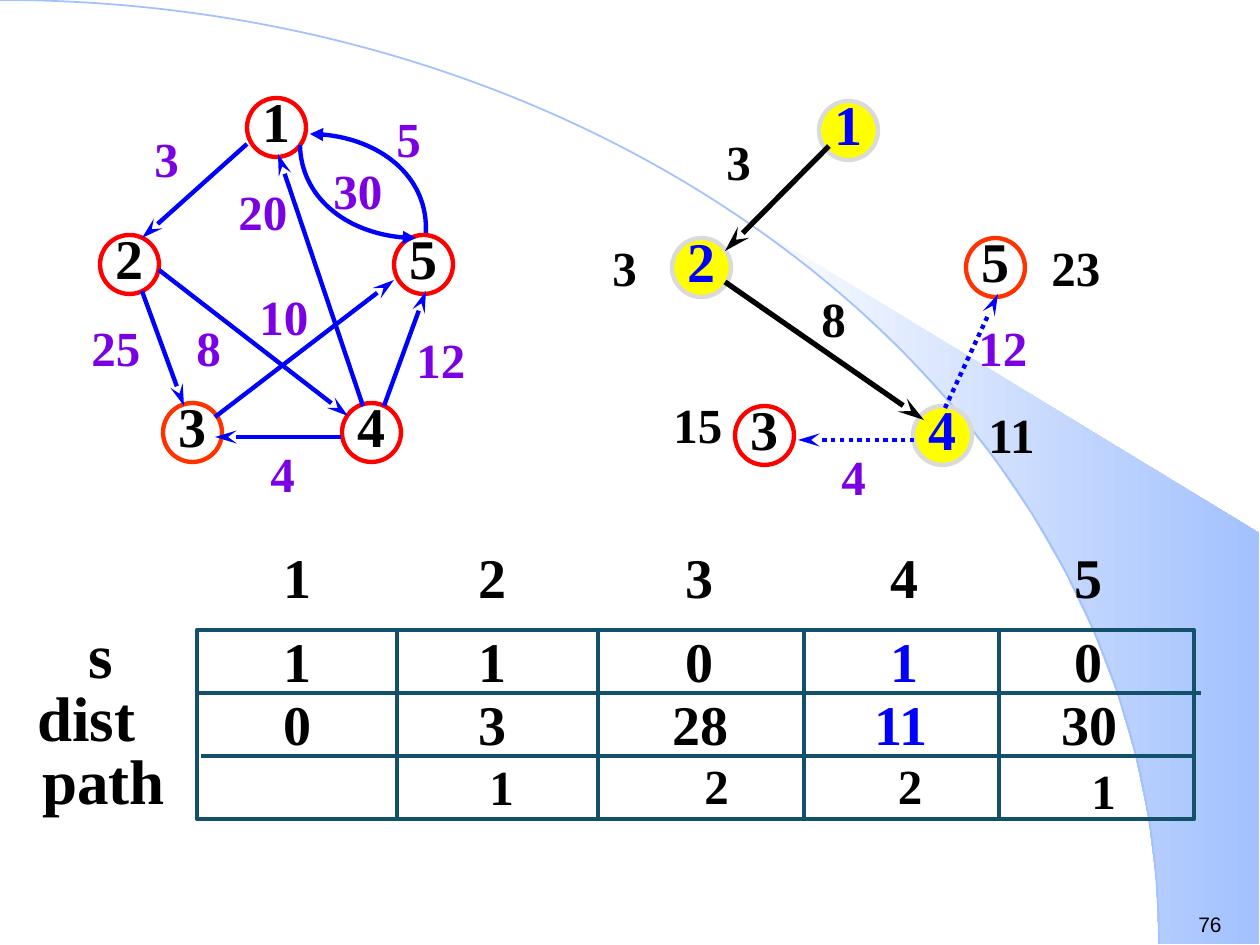
import math

from pptx import Presentation, util as u
from pptx.dml.color import RGBColor
from pptx.enum import dml, shapes, text
from pptx.oxml import parse_xml
from pptx.oxml.ns import nsdecls, qn

EMU_PER_PX = 914400 / 126
SERIF = "Times New Roman"
CENTER = text.PP_ALIGN.CENTER
BLACK, BLUE, PURPLE, TEAL = "000000", "0000FF", "7B00E4", "135069"
RED, ORANGE, YELLOW, GREY, SKY = "FF0000", "FF3300", "FFFF00", "DADADA", "A2C1FE"


def px(value):
    return u.Emu(round(value * EMU_PER_PX))


def rgb(code):
    return RGBColor.from_string(code)


def label(page, words, left, top, width, height, size=28, color=BLACK, font=SERIF,
          bold=True, align=text.PP_ALIGN.LEFT, right_inset=13):
    box = page.shapes.add_textbox(px(left), px(top), px(width), px(height))
    frame = box.text_frame
    frame.word_wrap = True
    frame.margin_right = px(right_inset)
    para = frame.paragraphs[0]
    para.alignment = align
    span = para.add_run()
    span.text = words
    span.font.name, span.font.size, span.font.bold = font, u.Pt(size), bold
    span.font.color.rgb = rgb(color)


def weights(page, entries, color):
    for words, left, top in entries:
        label(page, words, left, top, 63 if len(words) == 1 else 95, 72, color=color)


def stroke(line, color, width):
    line.color.rgb = rgb(color)
    line.width = u.Pt(width)


def outlined(page, kind, left, top, width, height, color, fill=None):
    shape = page.shapes.add_shape(kind, px(left), px(top), px(width), px(height))
    shape.shadow.inherit = False
    if fill:
        shape.fill.solid()
        shape.fill.fore_color.rgb = rgb(fill)
    else:
        shape.fill.background()
    stroke(shape.line, color, 2.5)


def node(page, words, left, top, ring, fill=None, color=BLACK):
    outlined(page, shapes.MSO_SHAPE.OVAL, left, top, 59, 59, ring, fill)
    label(page, words, left + 3, top - 18, 43, 79, size=32, color=color, right_inset=0)


def arrowhead(line, end, kind, length="med"):
    line._get_or_add_ln().append(
        parse_xml(f'<a:{end} {nsdecls("a")} type="{kind}" w="med" len="{length}"/>'))


def straight(page, start, end, color, width):
    link = page.shapes.add_connector(
        shapes.MSO_CONNECTOR.STRAIGHT, *map(px, start), *map(px, end))
    stroke(link.line, color, width)
    link._element.spPr.append(parse_xml(f'<a:effectLst {nsdecls("a")}/>'))
    return link


def edge(page, start, end, color=BLUE, width=2.5, dotted=False):
    line = straight(page, start, end, color, width).line
    if dotted:
        line.dash_style = dml.MSO_LINE.ROUND_DOT
    arrowhead(line, "tailEnd", "stealth", "lg")


def outline(page, points, close=False):
    corners = [(px(x), px(y)) for x, y in points]
    builder = page.shapes.build_freeform(*corners[0], scale=1.0)
    builder.add_line_segments(corners[1:], close=close)
    shape = builder.convert_to_shape()
    shape.shadow.inherit = False
    return shape


def curve(page, points, color, width, head=False):
    """Draw a start point followed by triples of Bézier control points."""
    shape = outline(page, points)
    segments = list(shape._element.iter(qn("a:lnTo")))
    for first in range(0, len(segments), 3):
        bezier = parse_xml(f'<a:cubicBezTo {nsdecls("a")}/>')
        segments[first].addprevious(bezier)
        for segment in segments[first:first + 3]:
            bezier.append(segment[0])
            segment.getparent().remove(segment)
    shape.fill.background()
    stroke(shape.line, color, width)
    if head:
        arrowhead(shape.line, "headEnd", "triangle")


def backdrop(page):
    # Wedge whose inner side follows the big quarter ellipse
    angles = [math.radians(50.3 * step / 13) for step in range(14)]
    inner = [(1159 * math.cos(a), 944 - 944 * math.sin(a)) for a in angles]
    wedge = outline(page, inner + [(1259, 533), (1259, 944)], close=True)
    wedge.line.fill.background()
    wedge.fill.gradient()
    wedge.fill.gradient_angle = 0
    for stop, color in zip(wedge.fill.gradient_stops, ("FFFFFF", SKY)):
        stop.color.rgb = rgb(color)
    curve(page, [(0, 0), (640, 0), (1159, 422), (1159, 944)], SKY, 1)


def state_grid(page):
    # Frame and rules
    outlined(page, shapes.MSO_SHAPE.RECTANGLE, 197, 630, 997, 189, TEAL)
    for x in (397, 598, 804, 999):
        straight(page, (x, 630), (x, 819), TEAL, 2.25)
    straight(page, (197, 693), (1201, 693), TEAL, 2.25)
    straight(page, (201, 756), (1194, 756), TEAL, 2.25)

    # Headings and the rows s and dist
    lefts = (271, 466, 673, 878, 1062)
    wide_lefts = (271, 466, 660, 862, 1049)
    for row, top in ((("1", "2", "3", "4", "5"), 536),
                     (("1", "1", "0", "1", "0"), 620),
                     (("0", "3", "28", "11", "30"), 683)):
        for c, words in enumerate(row):
            wide = len(words) > 1
            label(page, words, wide_lefts[c] if wide else lefts[c], top,
                  103 if wide else 57, 79, size=32,
                  color=BLUE if c == 3 and top > 536 else BLACK)

    # Row path
    for words, left, top, width in (("1", 422, 750, 160), ("2", 591, 749, 252),
                                    ("2", 819, 749, 183), ("1", 1054, 754, 100)):
        label(page, words, left, top, width, 72, align=CENTER)
    for words, left, top, width in (("s", 76, 609, 81), ("dist", 25, 672, 171),
                                    ("path", 30, 735, 171)):
        label(page, words, left, top, width, 88, size=36)


def full_graph(page):
    for words, left, top, ring in (("1", 247, 98, RED), ("2", 100, 235, RED),
                                   ("3", 163, 403, ORANGE), ("4", 342, 403, RED),
                                   ("5", 394, 235, RED)):
        node(page, words, left, top, ring)
    weights(page, [("3", 142, 122), ("25", 79, 311), ("8", 184, 311), ("10", 247, 280),
                   ("20", 226, 175), ("4", 258, 437), ("5", 384, 102), ("30", 321, 154),
                   ("12", 404, 323)], PURPLE)
    for start, end in (((142, 291), (184, 406)), ((341, 437), (215, 437)),
                       ((384, 406), (426, 291)), ((363, 406), (278, 154)),
                       ((159, 270), (348, 416)), ((215, 417), (394, 280)),
                       ((247, 144), (142, 238))):
        edge(page, start, end)
    # The two curved edges between nodes 1 and 5
    curve(page, [(310, 134), (374, 134), (426, 176), (426, 228),
                 (426, 229), (426, 232), (426, 233)], BLUE, 2.5, head=True)
    curve(page, [(416, 238), (352, 238), (301, 197), (300, 145)], BLUE, 2.5, head=True)


def path_tree(page):
    for words, left, top in (("1", 819, 101), ("2", 672, 238), ("4", 913, 406)):
        node(page, words, left, top, GREY, fill=YELLOW, color=BLUE)
    node(page, "3", 735, 406, RED)
    node(page, "5", 966, 238, ORANGE)
    weights(page, [("3", 600, 231), ("15", 661, 388), ("8", 809, 282), ("3", 714, 125),
                   ("23", 1039, 231), ("11", 976, 398)], BLACK)
    weights(page, [("12", 966, 311), ("4", 829, 440)], PURPLE)
    edge(page, (829, 146), (725, 251), color=BLACK, width=3)
    edge(page, (725, 282), (924, 420), color=BLACK, width=3)
    edge(page, (945, 408), (998, 294), dotted=True)
    edge(page, (914, 440), (798, 440), dotted=True)


def main():
    deck = Presentation()
    deck.slide_width, deck.slide_height = px(1260), px(945)
    page = deck.slides.add_slide(deck.slide_layouts[6])
    backdrop(page)
    label(page, "76", 1186, 905, 74, 38, size=12, font="Arial", bold=False)
    state_grid(page)
    full_graph(page)
    path_tree(page)
    deck.save("out.pptx")


if __name__ == "__main__":
    main()
